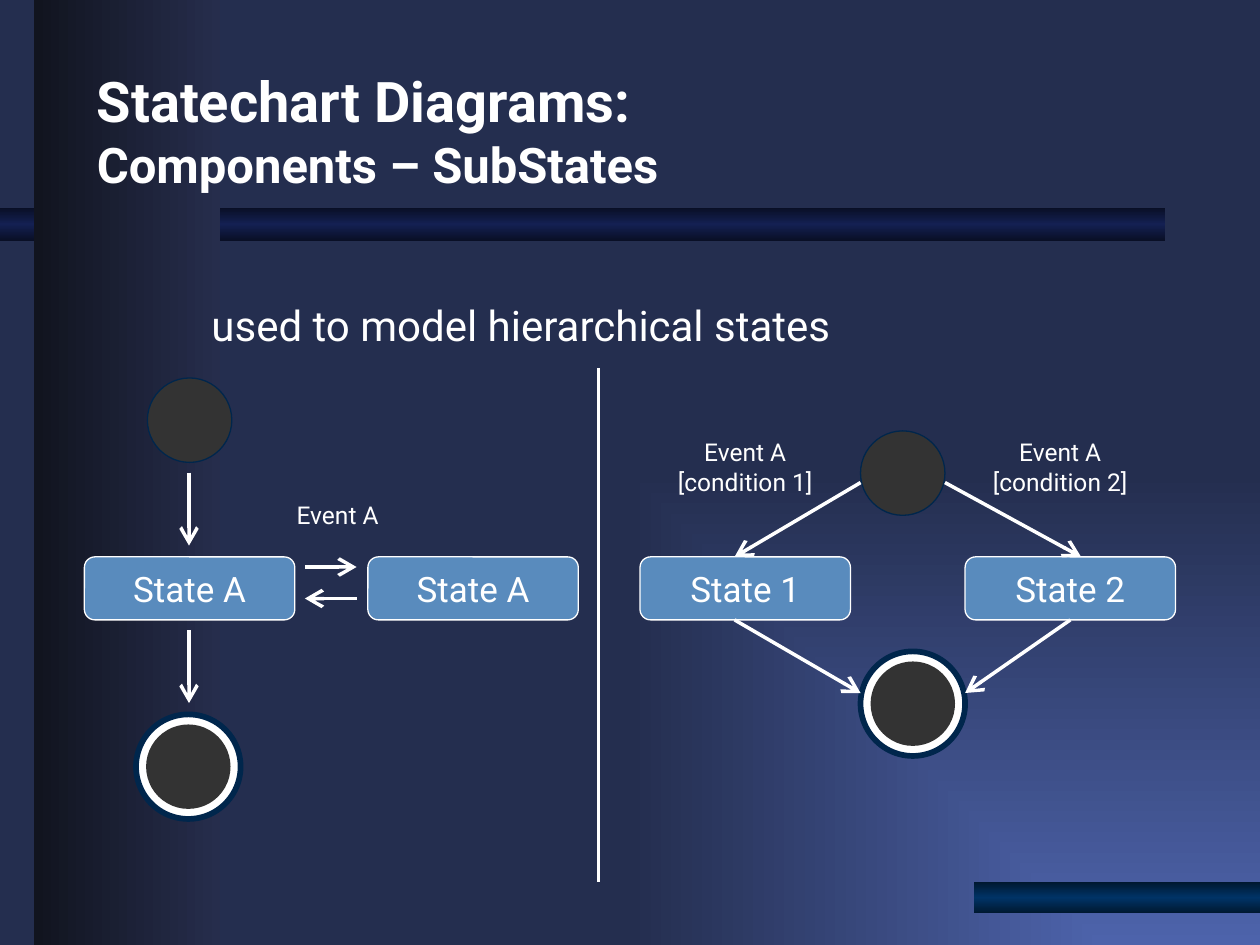
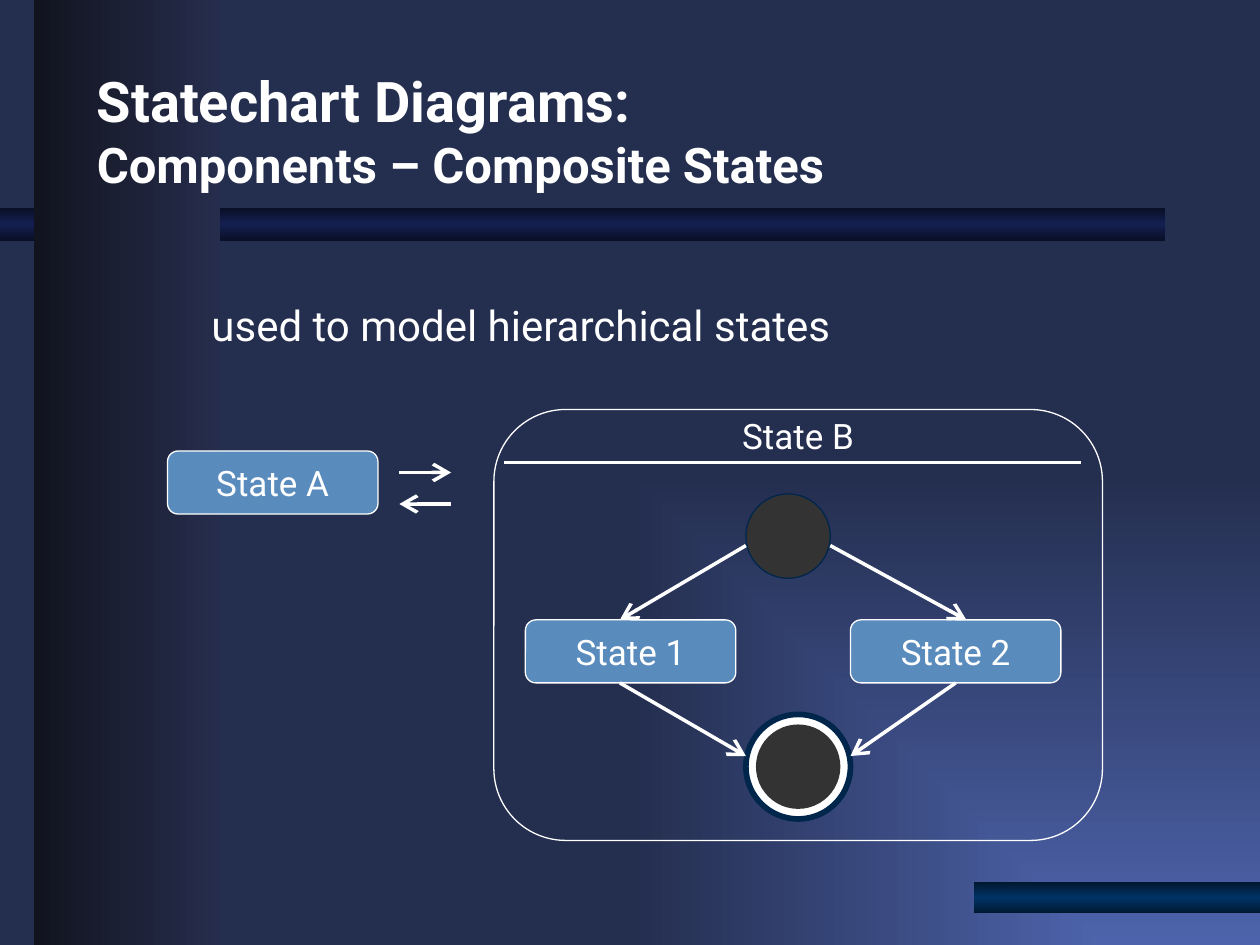
"""Builds two statechart slides: substates and composite states."""
from lxml import etree
from pptx import Presentation
from pptx.dml.color import RGBColor as RGB
from pptx.enum.shapes import MSO_CONNECTOR as CONN, MSO_SHAPE as SHAPE
from pptx.enum.text import MSO_ANCHOR as ANCHOR, PP_ALIGN as ALIGN
from pptx.oxml.ns import qn
from pptx.util import Inches, Pt

C = {
    "white": "FFFFFF", "state": "598BBD", "dot": "333333", "navy": "00264C",
    "glow": "4D63AB", "base": "242E4F",
    "bar_edge": "090F26", "bar_mid": "142052",
    "side_dark": "11141F", "side_light": "262D4C",
    "foot_edge": "00182F", "foot_mid": "003366",
}
FONT = "Roboto"
STATE_W, STATE_H = 1.67, 0.5
DOT, RING = 0.67, 0.83

BANDS = [
    (0, 1.65, 9.25, 0.26, ["bar_edge", "bar_mid", "bar_edge"], 90),
    (0.27, 0, 1.48, 7.5, ["side_dark", "side_light"], 0),
    (7.73, 7, 2.27, 0.25, ["foot_edge", "foot_mid", "foot_edge"], 90),
]

SLIDES = [
    {
        "title": "Components – SubStates",
        "branch": (5.08, 4.42),
        "states": [("State A", 0.67, 4.42), ("State A", 2.92, 4.42)],
        "starts": [(1.17, 3)],
        "finals": [(1.08, 5.67)],
        "arrows": [(2.42, 4.5, 2.83, 4.5), (2.83, 4.75, 2.42, 4.75),
                   (1.5, 3.75, 1.5, 4.33), (1.5, 5, 1.5, 5.58)],
        "rule": (4.75, 2.92, 4.75, 7),
        "labels": [("Event A", 2.25, 3.92, 0.86, 0.33),
                   ("Event A\n[condition 1]", 5.25, 3.42, 1.33, 0.57),
                   ("Event A\n[condition 2]", 7.75, 3.42, 1.33, 0.57)],
    },
    {
        "title": "Components – Composite States",
        "branch": (4.17, 4.92),
        "states": [("State A", 1.33, 3.58)],
        "starts": [],
        "finals": [],
        "arrows": [(3.17, 3.75, 3.58, 3.75), (3.58, 4, 3.17, 4)],
        "rule": (4, 3.67, 8.58, 3.67),
        "labels": [],
        "composite": ("State B", 3.92, 3.25, 4.83, 3.42),
    },
]


def set_gradient(fill, element, colors, angle=None):
    fill.gradient()
    grad = element.find(".//" + qn("a:gradFill"))
    for child in list(grad):
        grad.remove(child)
    stops = etree.SubElement(grad, qn("a:gsLst"))
    for i, color in enumerate(colors):
        stop = etree.SubElement(stops, qn("a:gs"), pos=str(100000 * i // (len(colors) - 1)))
        etree.SubElement(stop, qn("a:srgbClr"), val=C[color])
    if angle is None:
        shade = etree.SubElement(grad, qn("a:path"), path="rect")
        etree.SubElement(shade, qn("a:fillToRect"), l="100000", t="100000", r="0", b="0")
    else:
        etree.SubElement(grad, qn("a:lin"), ang=str(angle * 60000), scaled="0")


def add_text(s, text, box, size, align=ALIGN.LEFT, anchor=ANCHOR.TOP):
    tf = s.shapes.add_textbox(*map(Inches, box)).text_frame
    tf.word_wrap = True
    tf.vertical_anchor = anchor
    tf.text = text
    for p in tf.paragraphs:
        p.alignment = align
        for r in p.runs:
            r.font.name = FONT
            r.font.size = Pt(size)
            r.font.color.rgb = RGB.from_string(C["white"])
    return tf


prs = Presentation()
prs.slide_width, prs.slide_height = Inches(10), Inches(7.5)

for data in SLIDES:
    s = prs.slides.add_slide(prs.slide_layouts[6])
    set_gradient(s.background.fill, s._element, ["glow", "base"])

    for x, y, w, h, colors, angle in BANDS:
        sp = s.shapes.add_shape(SHAPE.RECTANGLE, *map(Inches, (x, y, w, h)))
        sp.shadow.inherit = False
        sp.line.fill.background()
        set_gradient(sp.fill, sp._element, colors, angle)

    tf = add_text(s, "Statechart Diagrams:\v" + data["title"], (0.67, 0.6, 9.03, 0.98), 32,
                  anchor=ANCHOR.BOTTOM)
    for r, size in zip(tf.paragraphs[0].runs, (32, 28)):
        r.font.size = Pt(size)
        r.font.bold = True
    add_text(s, "used to model hierarchical states", (1.58, 2.33, 7.58, 0.5), 24)

    if "composite" in data:
        name, x, y, w, h = data["composite"]
        sp = s.shapes.add_shape(SHAPE.ROUNDED_RECTANGLE, *map(Inches, (x, y, w, h)))
        sp.shadow.inherit = False
        sp.fill.background()
        sp.line.color.rgb = RGB.from_string(C["white"])
        sp.line.width = Pt(0.75)
        add_text(s, name, (x, y, w, 0.42), 20, align=ALIGN.CENTER, anchor=ANCHOR.MIDDLE)

    bx, by = data["branch"]
    states = data["states"] + [("State 1", bx, by), ("State 2", bx + 2.58, by)]
    starts = data["starts"] + [(bx + 1.75, by - 1)]
    finals = data["finals"] + [(bx + 1.75, by + 0.75)]

    for name, x, y in states:
        sp = s.shapes.add_shape(SHAPE.ROUNDED_RECTANGLE, *map(Inches, (x, y, STATE_W, STATE_H)))
        sp.shadow.inherit = False
        sp.fill.solid()
        sp.fill.fore_color.rgb = RGB.from_string(C["state"])
        sp.line.color.rgb = RGB.from_string(C["white"])
        sp.line.width = Pt(0.75)
        tf = sp.text_frame
        tf.word_wrap = False
        tf.vertical_anchor = ANCHOR.MIDDLE
        tf.text = name
        p = tf.paragraphs[0]
        p.alignment = ALIGN.CENTER
        r = p.runs[0]
        r.font.name = FONT
        r.font.size = Pt(20)
        r.font.color.rgb = RGB.from_string(C["white"])
    last_state = sp

    circles = [(x, y, DOT, "dot", 0.75) for x, y in starts]
    for x, y in finals:
        circles += [(x, y, RING, "white", 3.25), (x + 0.08, y + 0.08, DOT, "dot", 0)]
    for x, y, d, color, border in circles:
        sp = s.shapes.add_shape(SHAPE.OVAL, *map(Inches, (x, y, d, d)))
        sp.shadow.inherit = False
        sp.fill.solid()
        sp.fill.fore_color.rgb = RGB.from_string(C[color])
        if border:
            sp.line.color.rgb = RGB.from_string(C["navy"])
            sp.line.width = Pt(border)
        else:
            sp.line.fill.background()

    arrows = data["arrows"] + [
        (bx + 1.75, by - 0.59, bx + 0.75, by),
        (bx + 2.42, by - 0.59, bx + 3.5, by),
        (bx + 0.75, by + STATE_H, bx + 1.75, by + 1.08),
        (bx + 3.42, by + STATE_H, bx + 2.58, by + 1.08),
    ]
    lines = [(data["rule"], 1.75, False)] + [(ends, 2, True) for ends in arrows]
    for ends, width, arrow in lines:
        cx = s.shapes.add_connector(CONN.STRAIGHT, *map(Inches, ends))
        cx.line.color.rgb = RGB.from_string(C["white"])
        cx.line.width = Pt(width)
        if arrow:
            etree.SubElement(cx.line._get_or_add_ln(), qn("a:tailEnd"),
                             type="arrow", w="lg", len="lg")
        etree.SubElement(cx._element.spPr, qn("a:effectLst"))
    cx.begin_connect(last_state, 2)

    for text, *box in data["labels"]:
        tf = add_text(s, text, box, 14, align=ALIGN.CENTER)
        tf.word_wrap = "\n" in text

prs.save("out.pptx")
